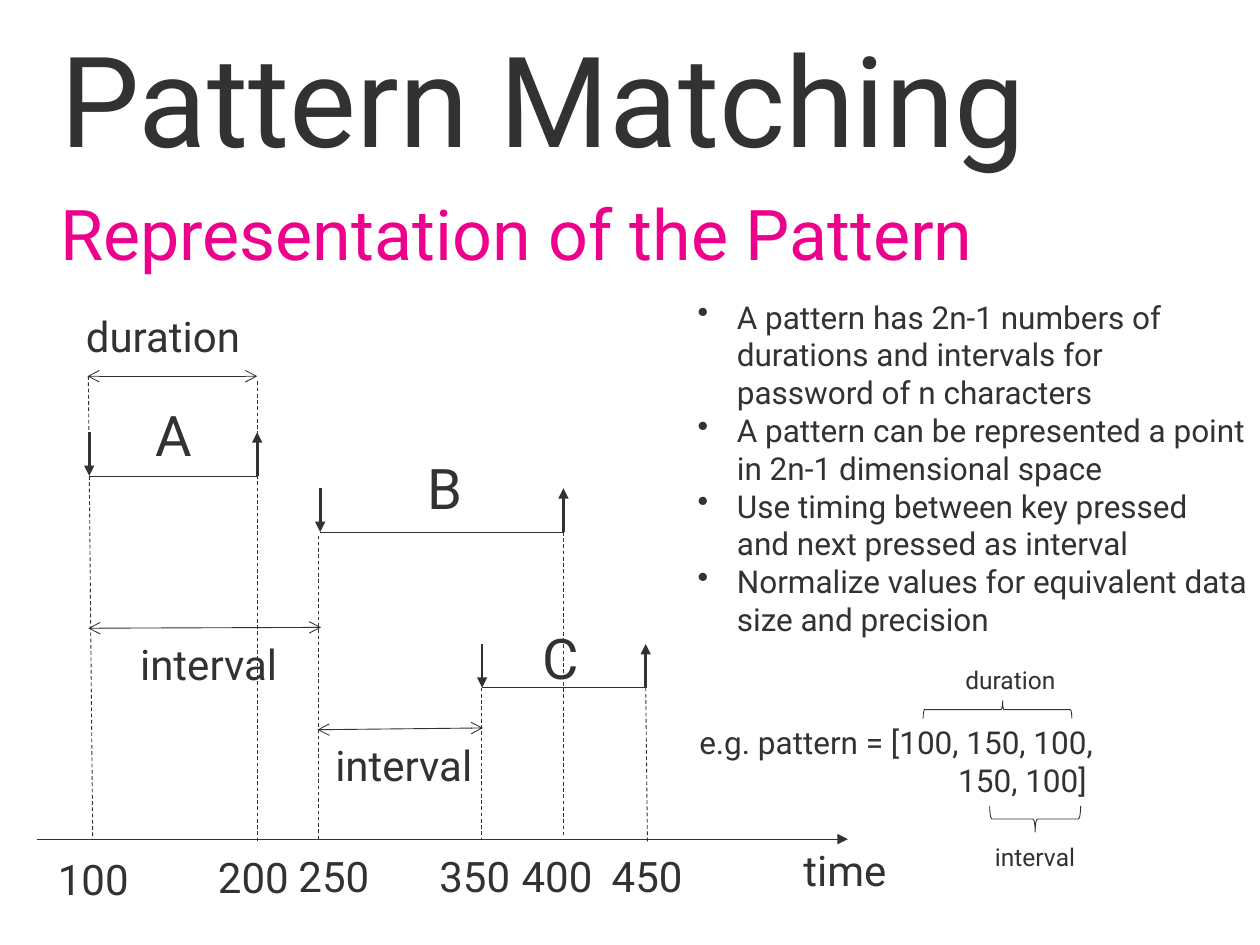
from dataclasses import dataclass

from lxml import etree
from pptx import Presentation
from pptx.dml.color import RGBColor
from pptx.enum.dml import MSO_LINE
from pptx.enum.shapes import MSO_CONNECTOR, MSO_SHAPE
from pptx.enum.text import MSO_ANCHOR, MSO_AUTO_SIZE, PP_ALIGN
from pptx.oxml.ns import qn
from pptx.util import Pt

DASH = MSO_LINE.DASH
STRAIGHT = MSO_CONNECTOR.STRAIGHT
BRACE = MSO_SHAPE.RIGHT_BRACE
MIDDLE, TOP = MSO_ANCHOR.MIDDLE, MSO_ANCHOR.TOP
FIT, FIXED = MSO_AUTO_SIZE.SHAPE_TO_FIT_TEXT, MSO_AUTO_SIZE.NONE
LEFT = PP_ALIGN.LEFT


@dataclass(frozen=True)
class Theme:
    font: str = "Roboto"
    ink: str = "323232"
    accent: str = "EC008C"
    title: float = 72
    head: float = 40
    key: float = 32
    label: float = 24
    body: float = 18
    note: float = 14
    thin: float = 0.5
    thick: float = 1.5


def assign(item, values):
    for name, value in values.items():
        setattr(item, name, value)


def place(shape, box):
    assign(shape, dict(zip(("left", "top", "width", "height"), map(Pt, box))))


class Board:
    """Holds the theme and the slide being drawn; lengths are in points."""

    def __init__(self, slide, theme):
        self.slide, self.theme = slide, theme

    def words(self, para, text, size, color=None):
        run = para.add_run()
        run.text = text
        assign(run.font, {"name": self.theme.font, "size": Pt(size)})
        run.font.color.rgb = RGBColor.from_string(color or self.theme.ink)

    def indent(self, para, left, first=0, bullet=None):
        props = para._p.get_or_add_pPr()
        props.set("marL", str(Pt(left)))
        props.set("indent", str(Pt(first)))
        if bullet:
            etree.SubElement(props, qn("a:buChar")).set("char", bullet)
        else:
            etree.SubElement(props, qn("a:buNone"))

    def holder(self, shape, box, text, size, color, inset, anchor, **form):
        """Move, fill and format a placeholder."""
        place(shape, box)
        frame = shape.text_frame
        assign(frame, {"auto_size": FIXED, "word_wrap": True,
                       "vertical_anchor": anchor, "margin_top": Pt(inset),
                       "margin_left": Pt(14.4), "margin_right": Pt(14.4),
                       "margin_bottom": Pt(14.4)})
        para = frame.paragraphs[0]
        assign(para, {"alignment": LEFT, **form})
        self.indent(para, 0)
        self.words(para, text, size, color)

    def text(self, box, lines, size, wrap=True):
        """Add a text box; each line is (text, left, first, bullet)."""
        frame = self.slide.shapes.add_textbox(*map(Pt, box)).text_frame
        assign(frame, {"word_wrap": wrap, "auto_size": FIT})
        for i, (line, *dent) in enumerate(lines):
            para = frame.add_paragraph() if i else frame.paragraphs[0]
            self.indent(para, *dent)
            self.words(para, line, size)

    def label(self, text, left, top, width, size):
        box = (left, top, width, size * 1.2 + 7.2)
        self.text(box, [(text, 0)], size, wrap=False)

    def line(self, start, end, width=None, dash=None, head=None, tail=None):
        link = self.slide.shapes.add_connector(
            STRAIGHT, *map(Pt, (*start, *end)))
        self.stroke(link.line, width)
        if dash:
            link.line.dash_style = dash
        edge = link._element.spPr.find(qn("a:ln"))
        for tag, kind in (("a:headEnd", head), ("a:tailEnd", tail)):
            if kind:
                etree.SubElement(edge, qn(tag)).set("type", kind)
        etree.SubElement(link._element.spPr, qn("a:effectLst"))

    def stroke(self, line, width=None):
        line.color.rgb = RGBColor.from_string(self.theme.ink)
        line.width = Pt(width or self.theme.thin)

    def span(self, start, end):
        self.line(start, end, head="arrow", tail="arrow")

    def press(self, name, start, end, base, left, top):
        """Draw a key held from start to end, with its down and up arrows."""
        rise, thick = base - 25, self.theme.thick
        self.line((start, base), (end, base))
        self.line((start, rise), (start, base), thick, tail="triangle")
        self.line((end, base), (end, rise), thick, tail="triangle")
        self.label(name, left, top, 35, self.theme.key)

    def brace(self, box, turn, bends=()):
        shape = self.slide.shapes.add_shape(BRACE, *map(Pt, box))
        shape.rotation = turn
        shape.shadow.inherit = False
        shape.fill.background()
        self.stroke(shape.line)
        for i, bend in enumerate(bends):
            shape.adjustments[i] = bend


KEYS = [("A", 51, 147, 272, 82, 225.5),
        ("B", 183, 322, 304, 237, 255.5),
        ("C", 275.5, 369, 393, 303, 353)]
GUIDES = [((50.5, 215), (53, 479.5)), ((147, 218), (147, 482)),
          ((182, 306), (182, 479.5)), ((275, 393), (275, 479.5)),
          ((322, 304), (322, 477)), ((369, 393), (370, 482))]
SPANS = [((50, 215), (147, 215)), ((50.5, 359), (183.5, 358.5)),
         ((181.5, 417), (276, 416))]
NAMES = [("duration", 42, 174, 107), ("interval", 73, 361.5, 95),
         ("interval", 184.5, 419, 95), ("time", 452, 479, 63)]
TICKS = {"100": (26, 484), "200": (117.5, 483), "250": (163.5, 482.5),
         "350": (244, 482.5), "400": (291, 482.5), "450": (342.5, 482.5)}
POINTS = ["A pattern has 2n-1 numbers of durations and intervals for "
          "password of n characters",
          "A pattern can be represented a point in 2n-1 dimensional space",
          "Use timing between key pressed and next pressed as interval",
          "Normalize values for equivalent data size and precision"]


def main():
    deck = Presentation()
    assign(deck, {"slide_width": Pt(720), "slide_height": Pt(540)})
    theme = Theme()
    slide = deck.slides.add_slide(deck.slide_layouts[1])
    board = Board(slide, theme)

    board.holder(slide.shapes.title, (20, 8.5, 680.5, 91.5),
                 "Pattern Matching", theme.title, theme.ink, 28, MIDDLE,
                 line_spacing=0.9)
    board.holder(slide.placeholders[1], (20, 100, 680.5, 385),
                 "Representation of the Pattern", theme.head, theme.accent,
                 8.6, TOP, space_before=Pt(10))

    board.line((21, 479.5), (484.5, 479.5), tail="triangle")
    for key in KEYS:
        board.press(*key)
    for guide in GUIDES:
        board.line(*guide, dash=DASH)
    for span in SPANS:
        board.span(*span)
    for name in NAMES:
        board.label(*name, theme.label)
    for tick, spot in TICKS.items():
        board.label(tick, *spot, 55, theme.label)

    board.text((391.5, 166.5, 328.5, 204),
               [(point, 22.5, -22.5, "•") for point in POINTS], theme.body)
    board.text((392.5, 409.5, 340, 51),
               [("e.g. pattern = [100, 150, 100,", 0), ("150, 100]", 148)],
               theme.body)
    board.brace((565, 363, 10, 85), 270, (0.083, 0.534))
    board.brace((584, 442, 15, 52), 90)
    board.label("duration", 544.5, 376.5, 67.5, theme.note)
    board.label("interval", 561.5, 477.5, 60.5, theme.note)
    deck.save("out.pptx")


if __name__ == "__main__":
    main()
